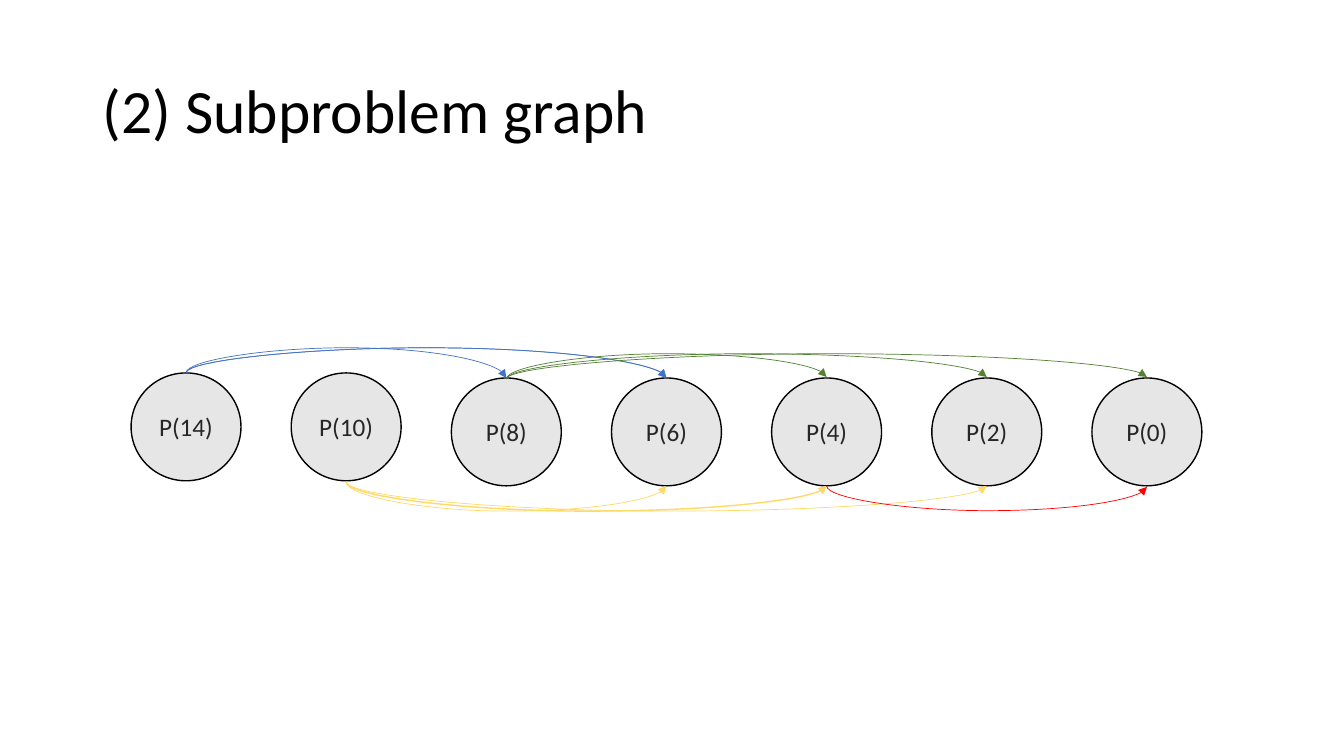
from lxml.etree import SubElement
from pptx import Presentation
from pptx.dml.color import RGBColor
from pptx.enum.shapes import MSO_CONNECTOR, MSO_SHAPE
from pptx.enum.text import MSO_ANCHOR, PP_ALIGN
from pptx.oxml.ns import qn
from pptx.util import Inches, Pt

BLACK = RGBColor(0x00, 0x00, 0x00)
DARK_GRAY = RGBColor(0x26, 0x26, 0x26)
LIGHT_GRAY = RGBColor(0xE7, 0xE6, 0xE6)
BLUE = RGBColor(0x44, 0x72, 0xC4)
YELLOW = RGBColor(0xFF, 0xD9, 0x66)
GREEN = RGBColor(0x54, 0x82, 0x35)
RED = RGBColor(0xFF, 0x00, 0x00)

FONT = "Calibri"
NODE_WIDTH, NODE_HEIGHT = 1.09, 1.07
LOWER_ROW = 0.05
PROBLEMS = [14, 10, 8, 6, 4, 2, 0]

# start height, end height, bend height, targets with line widths
DEPENDENCIES = [
    (14, BLUE, (0, 0.05, -0.25), [(6, 0.5), (6, 0.5), (8, 0.5)]),
    (10, YELLOW, (1.08, 1.12, 1.37), [(2, 0.5), (6, 0.5), (4, 1)]),
    (8, GREEN, (0.06, 0.04, -0.19), [(0, 0.5), (2, 0.5), (4, 0.5)]),
    (4, RED, (1.12, 1.13, 1.37), [(0, 0.5)]),
]


def write_text(shape, text, size, color, align):
    frame = shape.text_frame
    frame.text = text
    frame.vertical_anchor = MSO_ANCHOR.MIDDLE
    para = frame.paragraphs[0]
    para.alignment = align
    font = para.runs[0].font
    font.name = FONT
    font.size = Pt(size)
    font.color.rgb = color
    return para


def add_title(page, left, top, width, height):
    box = page.shapes.add_textbox(Inches(left), Inches(top), Inches(width), Inches(height))
    box.text_frame.word_wrap = True
    para = write_text(box, "(2) Subproblem graph", 44, BLACK, PP_ALIGN.LEFT)
    para.line_spacing = 0.9


def add_node(page, left, top, problem):
    node = page.shapes.add_shape(
        MSO_SHAPE.OVAL, Inches(left), Inches(top), Inches(NODE_WIDTH), Inches(NODE_HEIGHT)
    )
    node.shadow.inherit = False
    node.fill.solid()
    node.fill.fore_color.rgb = LIGHT_GRAY
    node.line.color.rgb = BLACK
    node.line.width = Pt(1)
    write_text(node, f"P({problem})", 18, DARK_GRAY, PP_ALIGN.CENTER)
    node.text_frame.word_wrap = False


def add_arc(page, start, end, bend, color, width):
    (start_x, start_y), (end_x, end_y) = start, end
    drop, reach = end_y - start_y, end_x - start_x
    left = (start_x + end_x - abs(drop)) / 2
    top = (start_y + end_y - reach) / 2
    arc = page.shapes.add_connector(
        MSO_CONNECTOR.CURVE,
        Inches(left), Inches(top), Inches(left + abs(drop)), Inches(top + reach),
    )
    arc.line.color.rgb = color
    arc.line.width = Pt(width)

    properties = arc._element.spPr
    frame = properties.find(qn("a:xfrm"))
    frame.set("flipH", "1")
    frame.set("rot", str((270 if drop > 0 else 90) * 60000))
    if drop < 0:
        frame.set("flipV", "1")
    adjustments = properties.find(qn("a:prstGeom")).find(qn("a:avLst"))
    guide = SubElement(adjustments, qn("a:gd"))
    guide.set("name", "adj1")
    guide.set("fmla", f"val {round((bend - start_y) / drop * 100000)}")
    SubElement(properties.find(qn("a:ln")), qn("a:tailEnd")).set("type", "triangle")
    SubElement(properties, qn("a:effectLst"))


def add_graph(page, left, top, width):
    pitch = (width - NODE_WIDTH) / (len(PROBLEMS) - 1)
    node_left = {problem: left + index * pitch for index, problem in enumerate(PROBLEMS)}
    for problem in PROBLEMS:
        add_node(page, node_left[problem], top + (0 if problem >= 10 else LOWER_ROW), problem)

    for source, color, heights, targets in DEPENDENCIES:
        start_y, end_y, bend = (top + height for height in heights)
        for target, line_width in targets:
            start = (node_left[source] + NODE_WIDTH / 2, start_y)
            end = (node_left[target] + NODE_WIDTH / 2, end_y)
            add_arc(page, start, end, bend, color, line_width)


deck = Presentation()
deck.slide_width = Inches(13.33)
deck.slide_height = Inches(7.5)
page = deck.slides.add_slide(deck.slide_layouts[6])
add_title(page, 0.92, 0.4, 11.5, 1.45)
add_graph(page, 1.3, 3.7, 10.62)
deck.save("out.pptx")
